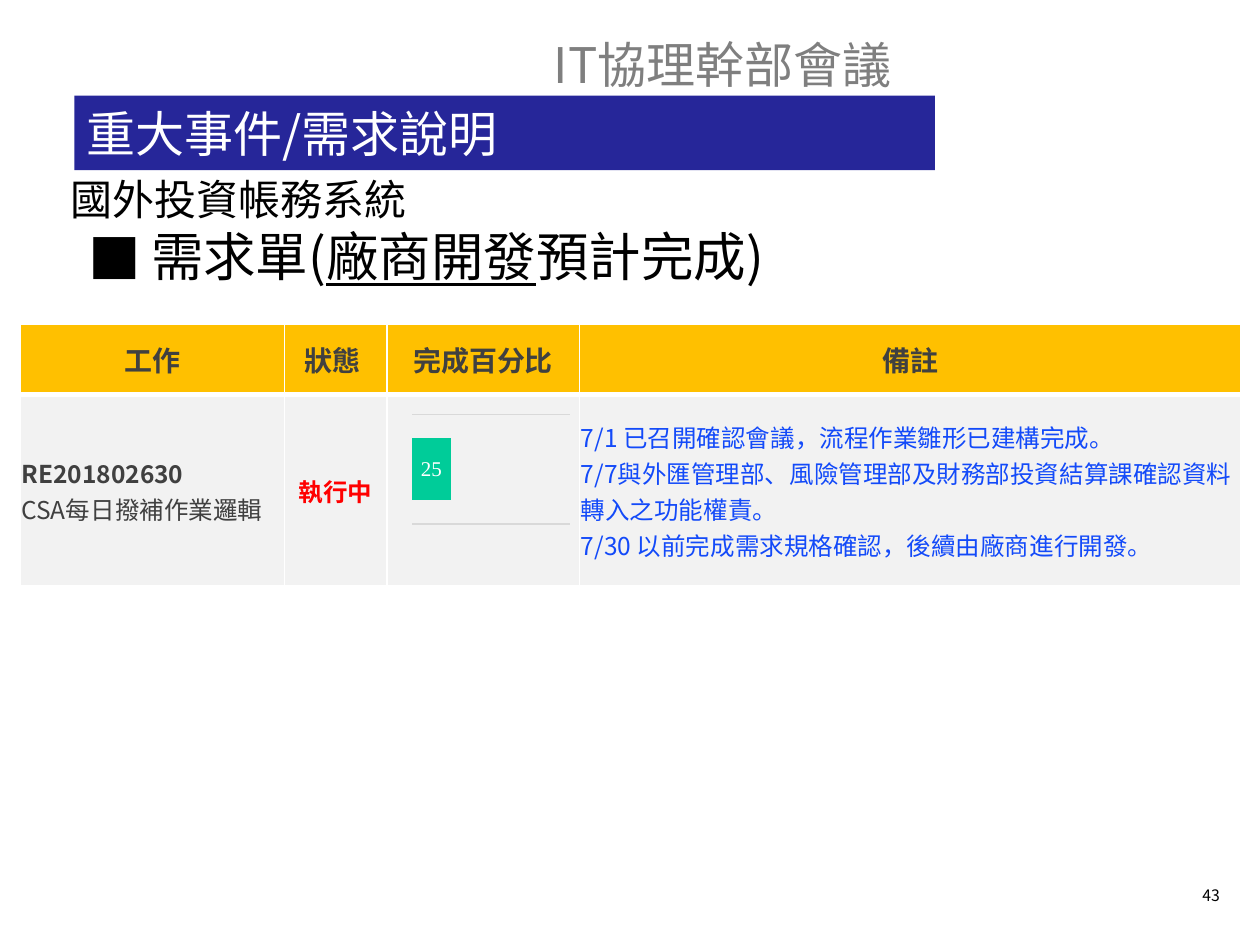
from lxml.etree import SubElement
from pptx import Presentation
from pptx.chart.data import CategoryChartData
from pptx.dml.color import RGBColor
from pptx.enum.chart import XL_CHART_TYPE, XL_LABEL_POSITION
from pptx.enum.shapes import MSO_SHAPE
from pptx.enum.text import MSO_ANCHOR, PP_ALIGN
from pptx.oxml import parse_xml
from pptx.oxml.ns import nsdecls, qn
from pptx.util import Inches, Pt

COLORS = {
    "banner": "262699", "header": "FFC000", "row": "F2F2F2", "bar": "00CC99",
    "grid": "D9D9D9", "white": "FFFFFF", "black": "000000", "gray": "7F7F7F",
    "dark": "404040", "red": "FF0000", "blue": "134AF9",
}
FONT = "Noto Sans CJK SC"
CHART_FONT = "Times New Roman"
COLUMN_WIDTHS = [2.1, 0.81, 1.53, 5.25]
ROW_HEIGHTS = [0.56, 1.52]
HEADINGS = ["工作", "狀態 ", "完成百分比", "備註"]
NOTES = [
    "7/1 已召開確認會議，流程作業雛形已建構完成。",
    "7/7與外匯管理部、風險管理部及財務部投資結算課確認資料轉入之功能權責。",
    "7/30 以前完成需求規格確認，後續由廠商進行開發。",
]


def color(name):
    """Return the named colour."""
    return RGBColor.from_string(COLORS[name])


def add_run(paragraph, text, size=14, fill="black", bold=False, underline=False):
    """Add formatted text to a paragraph."""
    run = paragraph.add_run()
    run.text = text
    run.font.size = Pt(size)
    run.font.bold = bold
    run.font.underline = underline
    run.font.name = FONT
    run.font.color.rgb = color(fill)
    SubElement(run.font._element, qn("a:ea"), typeface=FONT)


def write_lines(frame, lines, align=PP_ALIGN.LEFT, **formatting):
    """Write one paragraph per line, each a text or a text with its own format."""
    for index, line in enumerate(lines):
        paragraph = frame.paragraphs[0] if index == 0 else frame.add_paragraph()
        paragraph.alignment = align
        text, extra = line if isinstance(line, tuple) else (line, {})
        add_run(paragraph, text, **{**formatting, **extra})


def add_label(slide, box, text, align, **formatting):
    """Add a vertically centred text box holding one line."""
    frame = slide.shapes.add_textbox(*map(Inches, box)).text_frame
    frame.word_wrap = True
    frame.vertical_anchor = MSO_ANCHOR.MIDDLE
    write_lines(frame, [text], align, **formatting)


def add_banner(slide, box, text):
    """Add the filled title bar."""
    shape = slide.shapes.add_shape(MSO_SHAPE.RECTANGLE, *map(Inches, box))
    shape.shadow.inherit = False
    shape.fill.solid()
    shape.fill.fore_color.rgb = color("banner")
    shape.line.fill.background()
    shape.text_frame.vertical_anchor = MSO_ANCHOR.MIDDLE
    write_lines(shape.text_frame, [text], size=28, fill="white")


def add_body(slide, box):
    """Add the system name and the bulleted request heading."""
    frame = slide.shapes.add_textbox(*map(Inches, box)).text_frame
    frame.word_wrap = True
    system = frame.paragraphs[0]
    system._p.get_or_add_pPr().set("marL", str(Inches(0.3)))
    add_run(system, "國外投資帳務系統", size=24)
    request = frame.add_paragraph()
    properties = request._p.get_or_add_pPr()
    properties.set("marL", str(Inches(0.94)))
    properties.set("indent", str(Inches(-0.5)))
    SubElement(properties, qn("a:buFont"), typeface=FONT)
    SubElement(properties, qn("a:buChar"), char="■")
    add_run(request, "需求單(", size=30)
    add_run(request, "廠商開發", size=30, underline=True)
    add_run(request, "預計完成)", size=30)


def format_cell(cell, fill, bottom_width):
    """Set the fill, margins and white borders of a cell."""
    cell.fill.solid()
    cell.fill.fore_color.rgb = color(fill)
    cell.vertical_anchor = MSO_ANCHOR.MIDDLE
    cell.margin_left = cell.margin_top = cell.margin_right = Inches(0.01)
    cell.margin_bottom = 0
    widths = {"lnL": 1, "lnR": 1, "lnT": 1, "lnB": bottom_width}
    for index, (side, width) in enumerate(widths.items()):
        border = parse_xml(
            f'<a:{side} {nsdecls("a")} w="{Pt(width)}"><a:solidFill>'
            f'<a:srgbClr val="{COLORS["white"]}"/></a:solidFill></a:{side}>')
        cell._tc.get_or_add_tcPr().insert(index, border)


def add_task_table(slide, box):
    """Add the table of tasks, states and notes."""
    table = slide.shapes.add_table(2, 4, *map(Inches, box)).table
    for column, width in zip(table.columns, COLUMN_WIDTHS):
        column.width = Inches(width)
    for row, height in zip(table.rows, ROW_HEIGHTS):
        row.height = Inches(height)
    for index, heading in enumerate(HEADINGS):
        format_cell(table.cell(0, index), "header", 3)
        format_cell(table.cell(1, index), "row", 1)
        write_lines(table.cell(0, index).text_frame, [heading], PP_ALIGN.CENTER,
                    size=16, fill="dark", bold=True)
    task, state, _, notes = [cell.text_frame for cell in table.rows[1].cells]
    write_lines(task, [("RE201802630", {"bold": True}), "CSA每日撥補作業邏輯"], fill="dark")
    write_lines(state, ["執行中"], PP_ALIGN.CENTER, fill="red", bold=True)
    write_lines(notes, NOTES, fill="blue")


def add_progress_chart(slide, box):
    """Add the bar that shows the percentage done."""
    data = CategoryChartData()
    data.categories = ["1"]
    data.add_series("Series 1", [25])
    chart = slide.shapes.add_chart(
        XL_CHART_TYPE.BAR_STACKED, *map(Inches, box), data).chart
    chart.has_legend = chart.has_title = False
    chart.font.name = CHART_FONT
    chart.font.size = Pt(10)
    chart.font.color.rgb = color("black")
    categories, values = chart.category_axis, chart.value_axis
    categories.visible = values.visible = False
    categories.has_major_gridlines = True
    grid = categories.major_gridlines.format.line
    grid.color.rgb = color("grid")
    grid.width = Pt(0.75)
    values.has_major_gridlines = False
    values.minimum_scale, values.maximum_scale, values.major_unit = 0, 100, 25
    plot = chart.plots[0]
    plot.gap_width, plot.overlap, plot.vary_by_categories = 79, 100, False
    series = plot.series[0]
    series.format.fill.solid()
    series.format.fill.fore_color.rgb = color("bar")
    labels = series.data_labels
    labels.show_value = True
    labels.position = XL_LABEL_POSITION.CENTER
    labels.font.name = CHART_FONT
    labels.font.size = Pt(12)
    labels.font.color.rgb = color("white")
    place_plot(chart, x=0.1, y=0.21, w=0.8, h=0.74)


def place_plot(chart, **fractions):
    """Fix the inner plot area as fractions of the chart."""
    area = chart._chartSpace.chart.plotArea
    for old in area.findall(qn("c:layout")):
        area.remove(old)
    layout = parse_xml(f'<c:layout {nsdecls("c")}><c:manualLayout/></c:layout>')
    settings = {"layoutTarget": "inner", "xMode": "edge", "yMode": "edge", **fractions}
    for tag, value in settings.items():
        SubElement(layout[0], qn(f"c:{tag}"), val=str(value))
    area.insert(0, layout)


def main():
    """Build and save the slide."""
    presentation = Presentation()
    presentation.slide_width, presentation.slide_height = Inches(10), Inches(7.5)
    slide = presentation.slides.add_slide(presentation.slide_layouts[6])
    add_label(slide, (9.1, 6.98, 0.68, 0.25), "43", PP_ALIGN.RIGHT, size=9)
    add_label(slide, (2.32, 0.21, 6.83, 0.59), "IT協理幹部會議", PP_ALIGN.CENTER,
              size=28, fill="gray")
    add_banner(slide, (0.59, 0.76, 6.83, 0.59), "重大事件/需求說明")
    add_body(slide, (0.16, 1.33, 9.69, 5.67))
    add_task_table(slide, (0.16, 2.57, sum(COLUMN_WIDTHS), sum(ROW_HEIGHTS)))
    add_progress_chart(slide, (3.11, 3.04, 1.57, 1.18))
    presentation.save("out.pptx")


if __name__ == "__main__":
    main()
